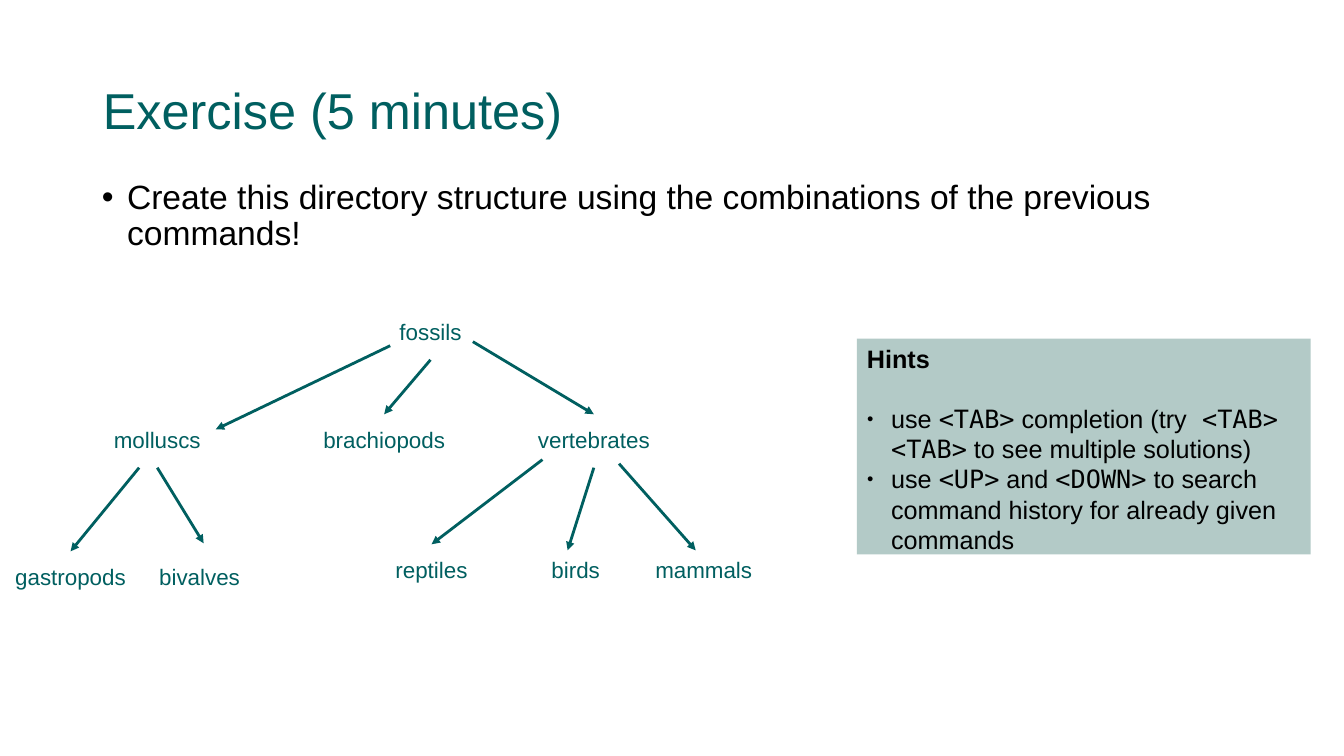
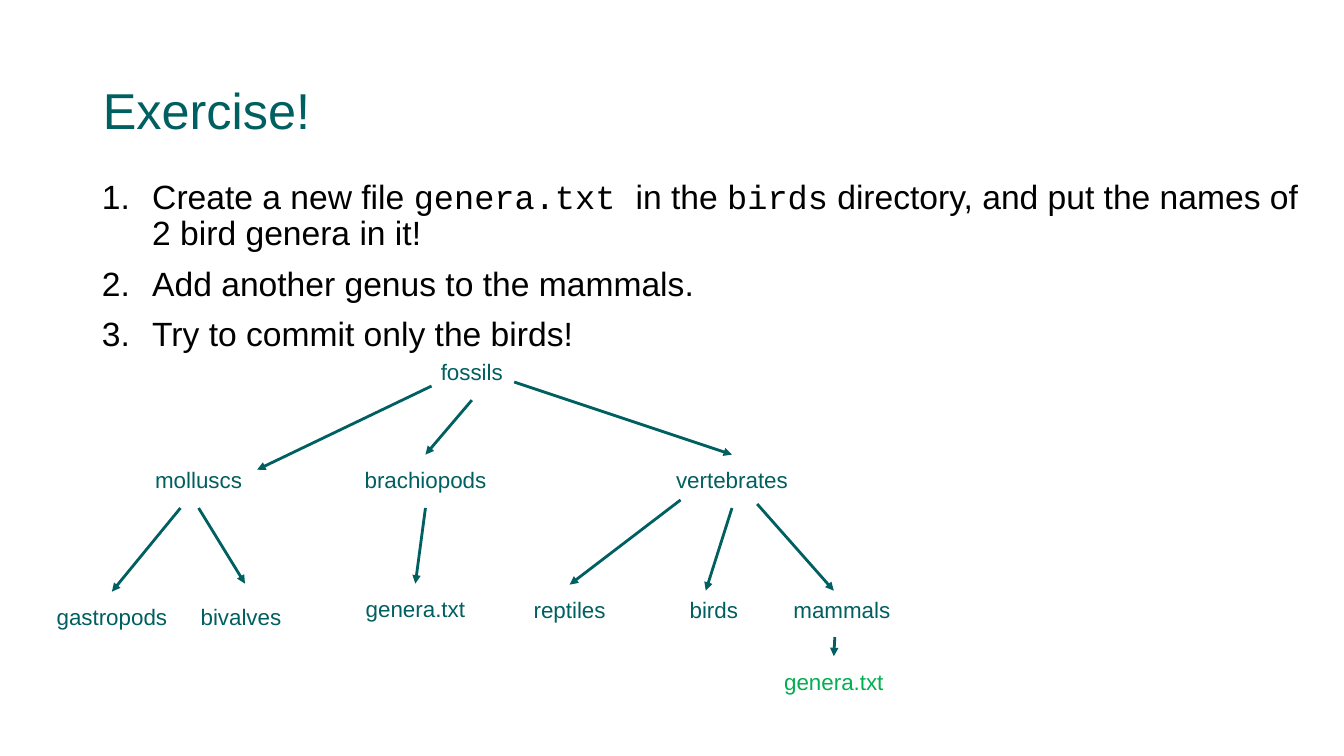
from dataclasses import dataclass

from lxml import etree
from pptx import Presentation
from pptx.dml.color import RGBColor
from pptx.enum.shapes import MSO_CONNECTOR, MSO_SHAPE
from pptx.enum.text import MSO_ANCHOR, MSO_AUTO_SIZE, PP_ALIGN
from pptx.oxml.ns import qn
from pptx.util import Inches, Pt

LEFT, CENTER = PP_ALIGN.LEFT, PP_ALIGN.CENTER
TOP, MIDDLE = MSO_ANCHOR.TOP, MSO_ANCHOR.MIDDLE
NO_AUTOFIT = MSO_AUTO_SIZE.NONE
RECT, STRAIGHT = MSO_SHAPE.RECTANGLE, MSO_CONNECTOR.STRAIGHT


@dataclass(frozen=True)
class Theme:
    teal: str = "005F60"
    green: str = "00B050"
    black: str = "000000"
    panel: str = "B3CAC7"
    sans: str = "Arial"
    courier: str = "Courier New"
    mono: str = "DejaVu Sans Mono"
    title: int = 36
    body: int = 24
    hint: int = 18
    node: int = 16
    spacing: float = 0.9


T = Theme()
TITLE_BOX = (0.92, 0.4, 11.5, 1.45)
HINT_BOX = (8.5, 3.36, 4.5, 2.14)
NODE_W, NODE_H = 1.54, 0.53

# A paragraph is a list of (text, font) runs.
EXERCISE_1 = [[("Create this directory structure using the combinations of the "
                "previous commands!", T.sans)]]
EXERCISE_2 = [
    [("Create a new file ", T.sans), ("genera.txt ", T.courier),
     ("in the ", T.sans), ("birds", T.courier),
     (" directory, and put the names of 2 bird genera in it!", T.sans)],
    [("Add another genus to the mammals.", T.sans)],
    [("Try to commit only the birds!", T.sans)],
]
HINTS = [
    [("use ", T.sans), ("<TAB>", T.mono), (" completion (try", T.sans),
     (" <TAB> <TAB>", T.mono), (" to see multiple solutions)", T.sans)],
    [("use ", T.sans), ("<UP>", T.mono), (" and ", T.sans), ("<DOWN>", T.mono),
     (" to search command history for already given commands", T.sans)],
]

# name: (centre x, top, width)
TREE = {
    "fossils": (4.27, 3.04, NODE_W),
    "molluscs": (1.56, 4.11, NODE_W),
    "brachiopods": (3.81, 4.11, 1.88),
    "vertebrates": (5.89, 4.11, 1.75),
    "reptiles": (4.28, 5.4, NODE_W),
    "birds": (5.71, 5.4, NODE_W),
    "mammals": (6.98, 5.4, NODE_W),
    "gastropods": (0.7, 5.47, NODE_W),
    "bivalves": (1.98, 5.47, NODE_W),
}
VERTEBRATES = ("vertebrates", "reptiles", "birds", "mammals")

# Parent, child, then the arrow's ends measured from each one's top centre
ARROWS = [
    ("fossils", "molluscs", (-0.4, 0.39), (0.58, 0.15)),
    ("fossils", "brachiopods", (0, NODE_H), (0, 0)),
    ("fossils", "vertebrates", (0.42, 0.35), (0, 0)),
    ("molluscs", "gastropods", (-0.18, NODE_H), (0, 0)),
    ("molluscs", "bivalves", (0, NODE_H), (0.04, -0.08)),
    ("vertebrates", "reptiles", (-0.51, 0.45), (0, 0)),
    ("vertebrates", "birds", (0, NODE_H), (-0.08, 0.06)),
    ("vertebrates", "mammals", (0.25, 0.49), (-0.08, 0.06)),
]
# Parent, centre x, top, colour, arrow start
GENERA_FILES = [
    ("brachiopods", 4.12, 5.79, T.teal, (0, NODE_H)),
    ("mammals", 8.27, 6.51, T.green, (-0.07, 0.52)),
]


def inches(values):
    return [Inches(v) for v in values]


def place(shape, box):
    shape.left, shape.top, shape.width, shape.height = inches(box)


def frame(shape, anchor):
    tf = shape.text_frame
    tf.word_wrap = True
    tf.auto_size = NO_AUTOFIT
    tf.vertical_anchor = anchor
    tf.margin_left = tf.margin_right = Inches(0.1)
    tf.margin_top = tf.margin_bottom = Inches(0.05)
    return tf


def add_run(p, text, size, color, font=T.sans, bold=False):
    r = p.add_run()
    r.text = text
    r.font.name, r.font.size, r.font.bold = font, Pt(size), bold
    r.font.color.rgb = RGBColor.from_string(color)


def set_bullet(p, indent, char=None, percent=100):
    """Hanging bullet; numbers the paragraph when no character is given."""
    pPr = p._p.get_or_add_pPr()
    pPr.set("marL", str(Inches(indent)))
    pPr.set("indent", str(-Inches(indent)))
    color = etree.SubElement(pPr, qn("a:buClr"))
    etree.SubElement(color, qn("a:srgbClr"), val=T.black)
    etree.SubElement(pPr, qn("a:buSzPct"), val=str(percent * 1000))
    etree.SubElement(pPr, qn("a:buFont"), typeface=T.sans)
    if char:
        etree.SubElement(pPr, qn("a:buChar"), char=char)
    else:
        etree.SubElement(pPr, qn("a:buAutoNum"), type="arabicPeriod")


def fill_list(tf, items, size, spacing, gaps, indent, char=None, percent=100):
    """Write bulleted items; gaps holds the space before each of them."""
    for item, gap in zip(items, gaps):
        p = tf.add_paragraph() if tf.paragraphs[0].runs else tf.paragraphs[0]
        set_bullet(p, indent, char, percent)
        p.alignment, p.line_spacing = LEFT, spacing
        p.space_before, p.space_after = Pt(gap), Pt(0)
        for text, font in item:
            add_run(p, text, size, T.black, font)


def add_line(shapes, text, shape, anchor, align, size, color):
    p = frame(shape, anchor).paragraphs[0]
    p.alignment, p.line_spacing = align, T.spacing
    add_run(p, text, size, color)


def add_exercise(prs, title, items, body_box, indent, char=None):
    s = prs.slides.add_slide(prs.slide_layouts[1])
    place(s.shapes.title, TITLE_BOX)
    add_line(s.shapes, title, s.shapes.title, MIDDLE, LEFT, T.title, T.teal)
    body = s.placeholders[1]
    place(body, body_box)
    gaps = [0] + [10] * (len(items) - 1)
    fill_list(frame(body, TOP), items, T.body, T.spacing, gaps, indent, char)
    return s


def add_node(shapes, text, node, color=T.teal):
    x, y, w = node
    box = shapes.add_textbox(*inches((x - w / 2, y, w, NODE_H)))
    add_line(shapes, text, box, MIDDLE, CENTER, T.node, color)


def add_arrow(shapes, parent, child, start, end):
    ends = (parent[0] + start[0], parent[1] + start[1],
            child[0] + end[0], child[1] + end[1])
    c = shapes.add_connector(STRAIGHT, *inches(ends))
    c.line.color.rgb = RGBColor.from_string(T.teal)
    c.line.width = Pt(0)
    etree.SubElement(c.line._get_or_add_ln(), qn("a:tailEnd"), type="triangle")
    etree.SubElement(c._element.spPr, qn("a:effectLst"))


def add_tree(s, dx=0, dy=0, vertebrate_dx=0):
    """Draw the directory tree, moved as given, and return its nodes."""
    nodes = {name: (x + dx + vertebrate_dx * (name in VERTEBRATES), y + dy, w)
             for name, (x, y, w) in TREE.items()}
    shapes = s.shapes.add_group_shape().shapes
    for name, node in nodes.items():
        add_node(shapes, name, node)
    for parent, child, start, end in ARROWS:
        add_arrow(shapes, nodes[parent], nodes[child], start, end)
    return nodes


def add_hints(s):
    panel = s.shapes.add_shape(RECT, *inches(HINT_BOX))
    panel.shadow.inherit = False
    panel.fill.solid()
    panel.fill.fore_color.rgb = RGBColor.from_string(T.panel)
    panel.line.fill.background()
    tf = frame(panel, TOP)
    tf.paragraphs[0].alignment = LEFT
    add_run(tf.paragraphs[0], "Hints", T.hint, T.black, bold=True)
    fill_list(tf, HINTS, T.hint, 1.0, (21, 0), 0.24, "●", 45)


def main():
    prs = Presentation()
    prs.slide_width, prs.slide_height = inches((13.33, 7.5))

    s = add_exercise(prs, "Exercise (5 minutes)", EXERCISE_1,
                     (0.91, 1.74, 12.23, 0.99), 0.25, "•")
    add_tree(s)
    add_hints(s)

    s = add_exercise(prs, "Exercise!", EXERCISE_2,
                     (0.91, 1.74, 12.21, 2.06), 0.5)
    nodes = add_tree(s, 0.41, 0.4, 0.96)
    for parent, x, y, color, start in GENERA_FILES:
        node = (x, y, NODE_W)
        add_node(s.shapes, "genera.txt", node, color)
        add_arrow(s.shapes, nodes[parent], node, start, (0, 0))

    prs.save("out.pptx")


if __name__ == "__main__":
    main()
